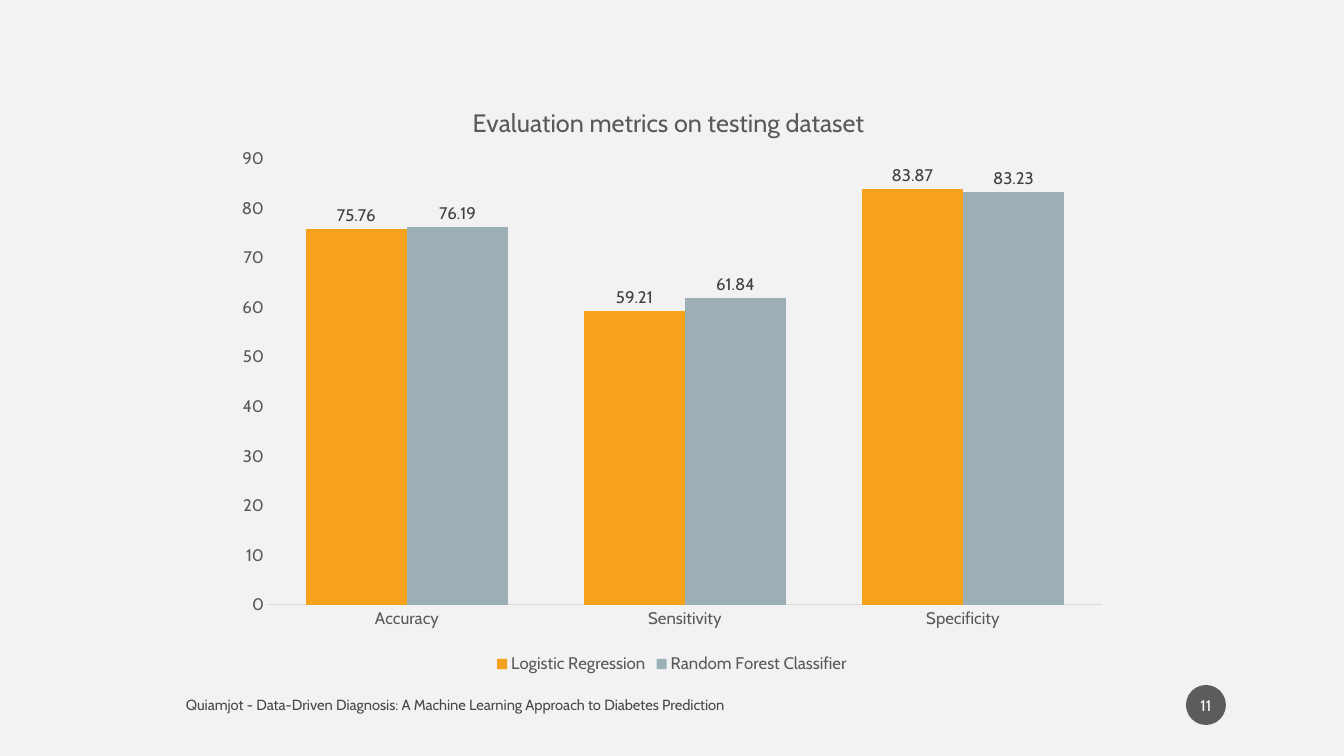
from lxml import etree
from pptx import Presentation
from pptx.chart.data import CategoryChartData
from pptx.dml.color import RGBColor
from pptx.enum.chart import XL_CHART_TYPE, XL_LABEL_POSITION, XL_LEGEND_POSITION, XL_TICK_MARK
from pptx.enum.shapes import MSO_SHAPE
from pptx.enum.text import MSO_ANCHOR, PP_ALIGN
from pptx.oxml.ns import qn
from pptx.util import Emu, Pt

COLUMNS = XL_CHART_TYPE.COLUMN_CLUSTERED
OUTSIDE_END = XL_LABEL_POSITION.OUTSIDE_END
LEGEND_BOTTOM = XL_LEGEND_POSITION.BOTTOM
NO_TICKS = XL_TICK_MARK.NONE
OVAL = MSO_SHAPE.OVAL
MIDDLE = MSO_ANCHOR.MIDDLE
LEFT, CENTER = PP_ALIGN.LEFT, PP_ALIGN.CENTER

BACKGROUND = RGBColor(0xF2, 0xF2, 0xF2)
BLACK = RGBColor(0x00, 0x00, 0x00)
WHITE = RGBColor(0xFF, 0xFF, 0xFF)
BADGE = RGBColor(0x1D, 0x1D, 0x1D)
AXIS_TEXT = RGBColor(0x59, 0x59, 0x59)
LABEL_TEXT = RGBColor(0x40, 0x40, 0x40)
AXIS_LINE = RGBColor(0xD9, 0xD9, 0xD9)
ORANGE = RGBColor(0xF6, 0xA2, 0x1D)
GREY_BLUE = RGBColor(0x9B, 0xAF, 0xB5)

METRICS = ["Accuracy", "Sensitivity", "Specificity"]
MODELS = [
    ("Logistic Regression", [75.76, 59.21, 83.87], ORANGE),
    ("Random Forest Classifier", [76.19, 61.84, 83.23], GREY_BLUE),
]


def px(length):
    return Emu(round(length * 914400 / 100.8))


def set_opacity(parent, percent):
    """Make the solid fill of a shape or run partly transparent."""
    color = parent.find(qn("a:solidFill"))[0]
    etree.SubElement(color, qn("a:alpha")).set("val", str(percent * 1000))


def set_layout(parent, index, **fractions):
    """Give a chart part a manual layout, as fractions of the chart."""
    for old in parent.findall(qn("c:layout")):
        parent.remove(old)
    layout = etree.Element(qn("c:layout"))
    parent.insert(index, layout)
    manual = etree.SubElement(layout, qn("c:manualLayout"))
    if "w" in fractions:
        etree.SubElement(manual, qn("c:layoutTarget")).set("val", "inner")
    for name in "xy":
        etree.SubElement(manual, qn(f"c:{name}Mode")).set("val", "edge")
    for name, value in fractions.items():
        etree.SubElement(manual, qn(f"c:{name}")).set("val", str(round(value, 4)))


class SlideBuilder:
    font_name = "Cabin"

    def __init__(self, slide):
        self.slide = slide
        slide.background.fill.solid()
        slide.background.fill.fore_color.rgb = BACKGROUND

    def style(self, font, size, color):
        font.name = self.font_name
        font.size = Pt(size)
        font.bold = False
        font.color.rgb = color

    def set_text(self, shape, text, size, color, align):
        frame = shape.text_frame
        frame.word_wrap = True
        frame.vertical_anchor = MIDDLE
        paragraph = frame.paragraphs[0]
        paragraph.text = text
        paragraph.alignment = align
        self.style(paragraph.font, size, color)
        return frame

    def footer(self, box, text):
        footer = self.slide.shapes.add_textbox(*map(px, box))
        frame = self.set_text(footer, text, 10.5, BLACK, LEFT)
        frame.paragraphs[0].runs[0].font.color.rgb = BLACK
        set_opacity(footer.element.xpath(".//a:rPr")[0], 70)

    def badge(self, box, number):
        badge = self.slide.shapes.add_shape(OVAL, *map(px, box))
        badge.shadow.inherit = False
        badge.fill.solid()
        badge.fill.fore_color.rgb = BADGE
        set_opacity(badge.element.spPr, 70)
        badge.line.fill.background()
        frame = self.set_text(badge, number, 11, WHITE, CENTER)
        frame.margin_left = frame.margin_right = px(2)

    def column_chart(self, box, plot_box, title_at, title, categories, rows):
        data = CategoryChartData()
        data.categories = categories
        for name, values, _ in rows:
            data.add_series(name, values)
        chart = self.slide.shapes.add_chart(COLUMNS, *map(px, box), data).chart
        self.style(chart.font, 10, BLACK)
        left, top, width, height = box

        # Title
        chart.has_title = True
        heading = chart.chart_title.text_frame.paragraphs[0]
        heading.text = title
        self.style(heading.font, 18, AXIS_TEXT)
        set_layout(chart.element.xpath("c:chart/c:title")[0], 1,
                   x=(title_at[0] - left) / width, y=(title_at[1] - top) / height)

        # Plot and series
        plot = chart.plots[0]
        plot.gap_width = 75
        plot.overlap = 0
        plot.vary_by_categories = False
        for series, (_, _, color) in zip(plot.series, rows):
            series.format.fill.solid()
            series.format.fill.fore_color.rgb = color
            labels = series.data_labels
            labels.show_value = True
            labels.position = OUTSIDE_END
            self.style(labels.font, 12, LABEL_TEXT)
        plot_left, plot_top, plot_width, plot_height = plot_box
        set_layout(chart.element.xpath("c:chart/c:plotArea")[0], 0,
                   x=(plot_left - left) / width, y=(plot_top - top) / height,
                   w=plot_width / width, h=plot_height / height)

        # Axes
        for axis in (chart.category_axis, chart.value_axis):
            axis.major_tick_mark = axis.minor_tick_mark = NO_TICKS
            axis.has_major_gridlines = False
            self.style(axis.tick_labels.font, 12, AXIS_TEXT)
        chart.category_axis.format.line.color.rgb = AXIS_LINE
        chart.category_axis.format.line.width = Pt(0.75)
        chart.value_axis.format.line.fill.background()
        chart.value_axis.minimum_scale = 0
        chart.value_axis.maximum_scale = 90
        chart.value_axis.major_unit = 10

        # Legend
        chart.has_legend = True
        chart.legend.position = LEGEND_BOTTOM
        chart.legend.include_in_layout = False
        self.style(chart.legend.font, 12, AXIS_TEXT)


def main():
    deck = Presentation()
    deck.slide_width, deck.slide_height = px(1344), px(756)
    builder = SlideBuilder(deck.slides.add_slide(deck.slide_layouts[6]))

    # Footer and slide number
    builder.footer((176, 687, 650, 35),
                   "Quiamjot - Data-Driven Diagnosis: A Machine Learning Approach to Diabetes Prediction")
    builder.badge((1186, 685, 40, 40), "11")

    # Model comparison
    builder.column_chart((224, 80, 896, 598), (268, 159, 834, 446), (468, 101),
                         "Evaluation metrics on testing dataset", METRICS, MODELS)
    deck.save("out.pptx")


if __name__ == "__main__":
    main()
